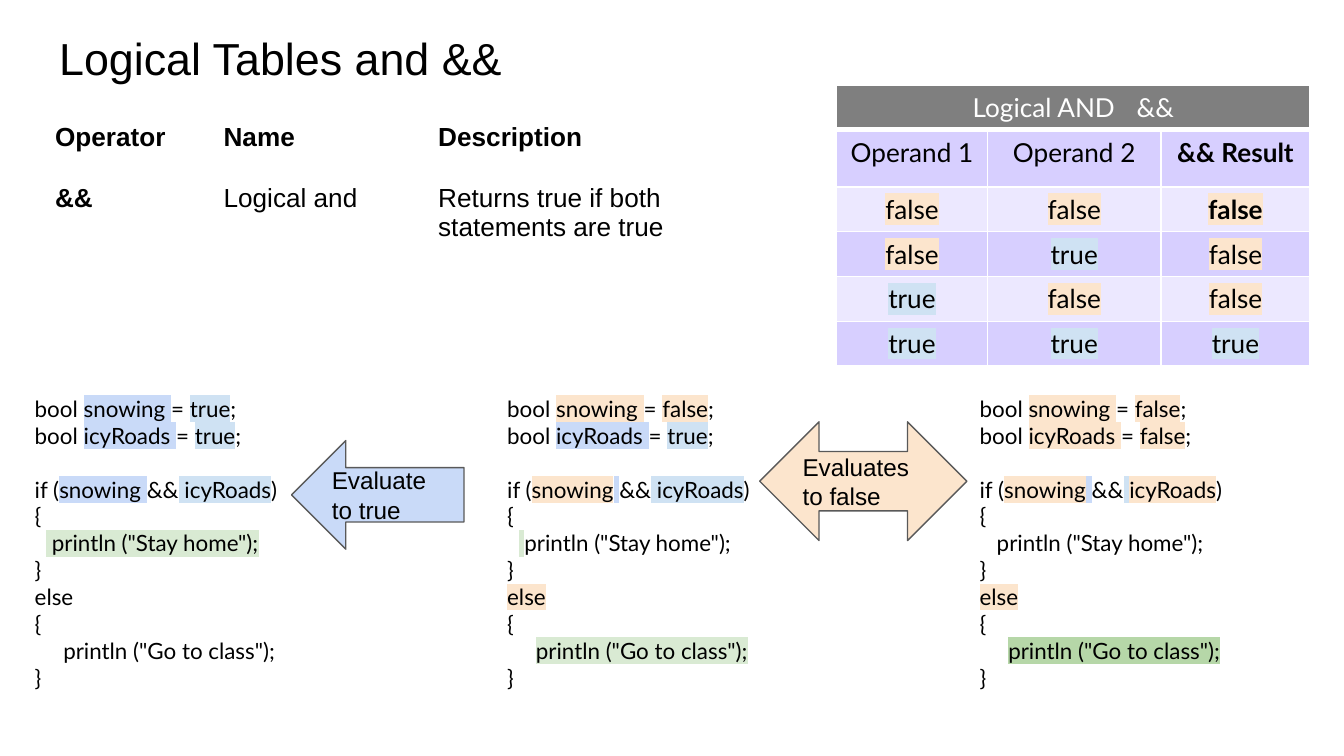
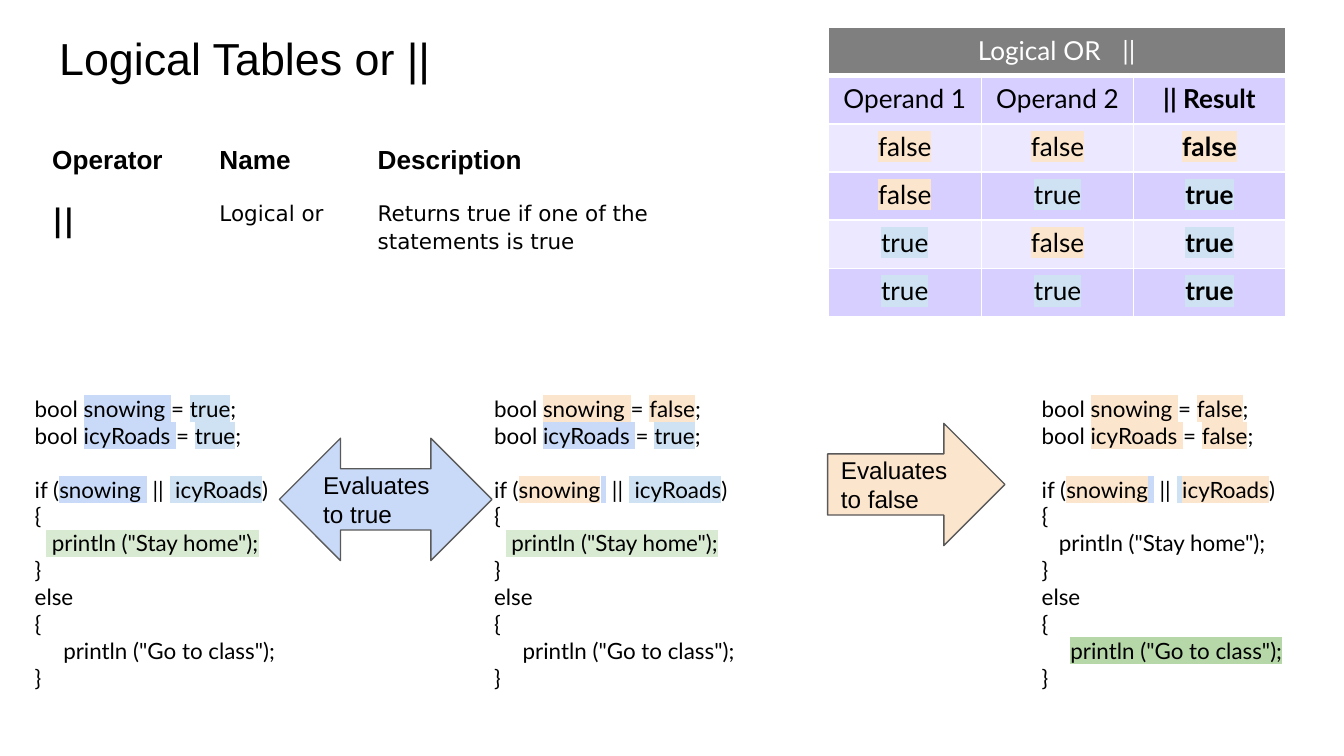
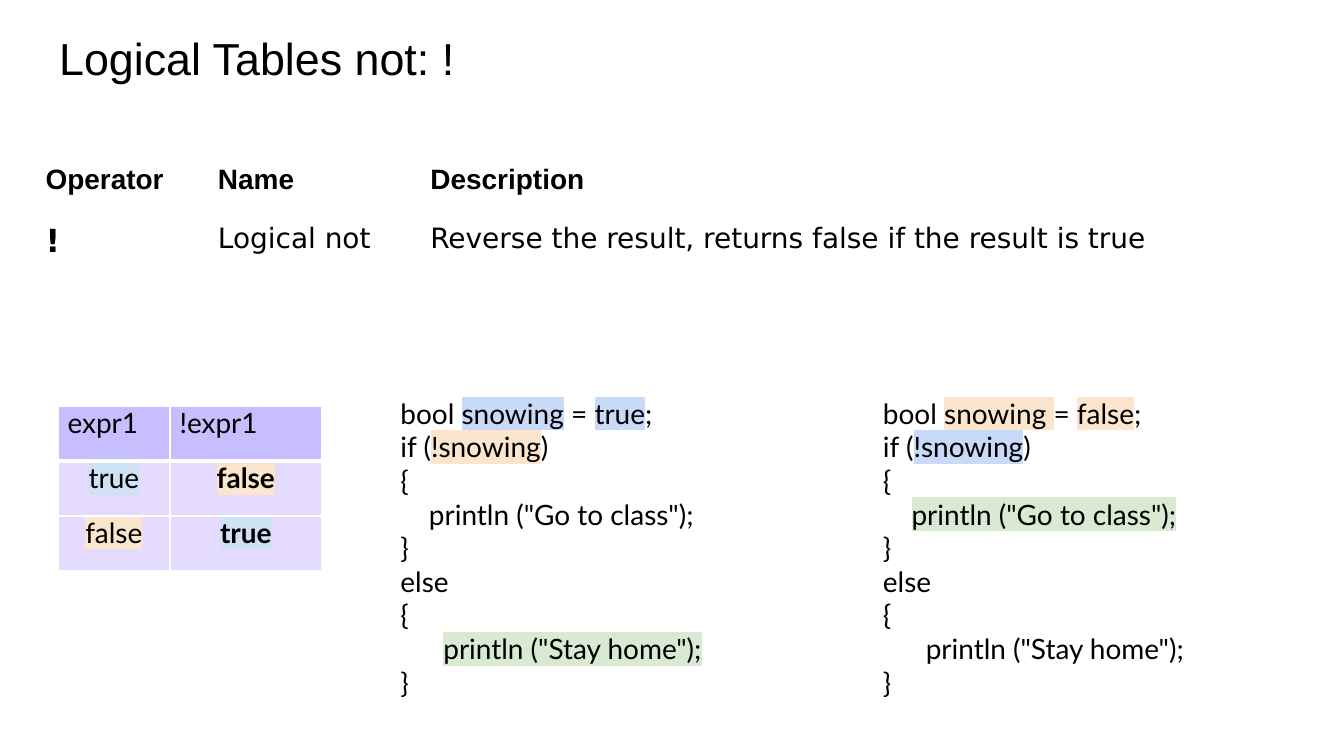
from lxml.etree import SubElement
from pptx import Presentation
from pptx.dml.color import RGBColor
from pptx.enum.shapes import MSO_SHAPE as Shape
from pptx.enum.text import MSO_ANCHOR as Anchor, MSO_AUTO_SIZE as AutoSize, PP_ALIGN as Align
from pptx.oxml.ns import qn
from pptx.util import Pt

BLACK = RGBColor(0x00, 0x00, 0x00)
WHITE = RGBColor(0xFF, 0xFF, 0xFF)
GRAY = RGBColor(0x7F, 0x7F, 0x7F)
OUTLINE = RGBColor(0x59, 0x59, 0x59)
LILAC = RGBColor(0xD7, 0xCF, 0xFF)
PALE_LILAC = RGBColor(0xEC, 0xE8, 0xFF)
VIOLET = RGBColor(0xC7, 0xBE, 0xFF)
PALE_VIOLET = RGBColor(0xE5, 0xDB, 0xFF)
ORANGE = RGBColor(0xFC, 0xE5, 0xCD)
SKY = RGBColor(0xCF, 0xE2, 0xF3)
BLUE = RGBColor(0xC9, 0xDA, 0xF8)
GREEN = RGBColor(0xD9, 0xEA, 0xD3)
DEEP_GREEN = RGBColor(0xB6, 0xD7, 0xA8)

TITLE_FONT = "Arial"
CODE_FONT = "Lato"
BODY_FONT = "DejaVu Sans"
CODE_LINE = 14.4
VALUE_COLORS = {"true": SKY, "false": ORANGE}


def add_span(para, text, font=CODE_FONT, size=14, color=BLACK, bold=False,
             highlight=None, spacing=None):
    span = para.add_run()
    span.text = text
    span.font.size = Pt(size)
    span.font.bold = bold
    span.font.color.rgb = color
    properties = span._r.get_or_add_rPr()
    if spacing:
        properties.set("spc", str(spacing * 100))
    if highlight is not None:
        mark = SubElement(properties, qn("a:highlight"))
        SubElement(mark, qn("a:srgbClr")).set("val", str(highlight))
    span.font.name = font
    return span


def set_margins(target, left, top, right, bottom):
    target.margin_left, target.margin_top = Pt(left), Pt(top)
    target.margin_right, target.margin_bottom = Pt(right), Pt(bottom)


def set_borders(cell, top=1, bottom=1):
    properties = cell._tc.get_or_add_tcPr()
    for index, (side, width) in enumerate(
            (("lnL", 1), ("lnR", 1), ("lnT", top), ("lnB", bottom))):
        line = SubElement(properties, qn(f"a:{side}"))
        line.set("w", str(int(Pt(width))))
        fill = SubElement(line, qn("a:solidFill"))
        SubElement(fill, qn("a:srgbClr")).set("val", str(WHITE))
        properties.insert(index, line)


def declare(name, value, name_color, value_color):
    equals = "= " if name.endswith(" ") else " = "
    return [("bool ", None), (name, name_color), (equals, None),
            (value, value_color), (";", None)]


def branches(first, second, otherwise=None):
    plain = [[(mark, None)] for mark in "{}{}"]
    return [plain[0], first, plain[1], [("else", otherwise)], plain[2], second, plain[3]]


def pair_program(operator, snowing, icy_roads, stay=None, stay_gap=None,
                 otherwise=None, go=None):
    lines = [declare(f"{name} ", value, BLUE if value == "true" else ORANGE,
                     VALUE_COLORS[value])
             for name, value in (("snowing", snowing), ("icyRoads", icy_roads))]
    left = [("snowing ", BLUE)] if snowing == "true" else [("snowing", ORANGE), (" ", BLUE)]
    right = [(" icyRoads", SKY)] if icy_roads == "true" else [(" ", SKY), ("icyRoads", ORANGE)]
    lines.append([("if (", None), *left, (operator, None), *right, (")", None)])
    return lines + branches(
        [("  ", None), (" ", stay_gap), ('println ("Stay home");', stay)],
        [("     ", None), ('println ("Go to class");', go)], otherwise)


def not_program(name, value, name_color, value_color, test_color, go=None, stay=None):
    return [declare(name, value, name_color, value_color),
            [("if (", None), ("!snowing", test_color), (")", None)],
            *branches([("    ", None), ('println ("Go to class");', go)],
                      [("      ", None), ('println ("Stay home");', stay)])]


class Board:
    def __init__(self):
        self.deck = Presentation()
        self.deck.slide_width, self.deck.slide_height = Pt(720), Pt(405)
        self.page = None

    def start(self, title, width=392.4):
        self.page = self.deck.slides.add_slide(self.deck.slide_layouts[5])
        box = self.page.shapes.title
        box.left, box.top, box.width, box.height = Pt(24.5), Pt(9.4), Pt(width), Pt(45.4)
        frame = box.text_frame
        set_margins(frame, 7.2, 7.2, 7.2, 7.2)
        frame.word_wrap = True
        frame.auto_size = AutoSize.NONE
        frame.vertical_anchor = Anchor.TOP
        frame.paragraphs[0].alignment = Align.LEFT
        add_span(frame.paragraphs[0], title, font=TITLE_FONT, size=24)

    def grid(self, left, top, widths, heights):
        table = self.page.shapes.add_table(
            len(heights), len(widths), Pt(left), Pt(top),
            Pt(sum(widths)), Pt(sum(heights))).table
        for column, width in zip(table.columns, widths):
            column.width = Pt(width)
        for row, height in zip(table.rows, heights):
            row.height = Pt(height)
        return table

    def fill_cell(self, cell, text, fill, margins, align=Align.LEFT, line_spacing=None, **style):
        cell.fill.solid()
        cell.fill.fore_color.rgb = fill
        set_margins(cell, *margins)
        para = cell.text_frame.paragraphs[0]
        para.alignment = align
        if line_spacing:
            para.line_spacing = line_spacing
        if text:
            add_span(para, text, **style)
        return para

    def operator_table(self, left, top, widths, heights, texts, size=14,
                       font=BODY_FONT, body_size=14, sign_size=14, line_spacing=None):
        table = self.grid(left, top, widths, heights)
        for column, (heading, text) in enumerate(
                zip(("Operator", "Name", "Description"), texts)):
            first = column == 0
            margins = (12.2 if first else 6, 6, 6, 6)
            self.fill_cell(table.cell(0, column), heading, WHITE, margins,
                           font=TITLE_FONT, size=size, bold=True)
            self.fill_cell(table.cell(1, column), text, WHITE, margins,
                           line_spacing=line_spacing, font=font, bold=first,
                           size=sign_size if first else body_size)

    def values(self, table, first_row, rows, fills, margins, bold_rows, size=14):
        for index, row in enumerate(rows):
            for column, value in enumerate(row):
                cell = table.cell(first_row + index, column)
                self.fill_cell(cell, value, fills[index % len(fills)], margins,
                               align=Align.CENTER, size=size,
                               bold=column == len(row) - 1 and index in bold_rows,
                               highlight=VALUE_COLORS[value])
                set_borders(cell, top=3 if first_row + index == 1 else 1)

    def truth_table(self, left, top, widths, heights, name, sign, results, bold_rows):
        table = self.grid(left, top, widths, heights)
        margins = (7.2, 3.6, 7.2, 3.6)
        table.cell(0, 0).merge(table.cell(0, 2))
        para = self.fill_cell(table.cell(0, 0), name, GRAY, margins,
                              align=Align.CENTER, color=WHITE)
        add_span(para, " ", color=WHITE, spacing=8)
        add_span(para, sign, color=WHITE)
        for column, heading in enumerate(("Operand 1", "Operand 2", f"{sign} Result")):
            set_borders(table.cell(0, column), bottom=3)
            cell = table.cell(1, column)
            self.fill_cell(cell, heading, LILAC, margins, align=Align.CENTER, bold=column == 2)
            set_borders(cell, top=3)
        operands = [(a, b) for a in ("false", "true") for b in ("false", "true")]
        rows = [(*pair, result) for pair, result in zip(operands, results)]
        self.values(table, 2, rows, (PALE_LILAC, LILAC), margins, bold_rows)

    def negation_table(self, left, top, widths, heights):
        table = self.grid(left, top, widths, heights)
        margins = (5.2, 0, 5.2, 0)
        for column, heading in enumerate(("expr1", "!expr1")):
            cell = table.cell(0, column)
            self.fill_cell(cell, heading, VIOLET, margins, size=15)
            set_borders(cell, bottom=3)
        self.values(table, 1, (("true", "false"), ("false", "true")),
                    (PALE_VIOLET,), margins, (0, 1), size=15)

    def code(self, left, top, width, height, lines, size=12, gap_line=None):
        box = self.page.shapes.add_textbox(Pt(left), Pt(top), Pt(width), Pt(height))
        frame = box.text_frame
        frame.word_wrap = True
        frame.auto_size = AutoSize.SHAPE_TO_FIT_TEXT
        set_margins(frame, 7.2, 3.6, 7.2, 3.6)
        for index, line in enumerate(lines):
            para = frame.paragraphs[0] if index == 0 else frame.add_paragraph()
            if index == gap_line:
                para.space_before = Pt(CODE_LINE)
            for text, highlight in line:
                add_span(para, text, size=size, highlight=highlight)

    def pair_code(self, left, width, lines):
        self.code(left, 208.1, width, 167, lines, gap_line=2)

    def arrow(self, kind, left, top, width, height, text, fill):
        shape = self.page.shapes.add_shape(kind, Pt(left), Pt(top), Pt(width), Pt(height))
        shape.shadow.inherit = False
        shape.fill.solid()
        shape.fill.fore_color.rgb = fill
        shape.line.color.rgb = OUTLINE
        shape.line.width = Pt(0.75)
        frame = shape.text_frame
        frame.word_wrap = True
        frame.vertical_anchor = Anchor.MIDDLE
        set_margins(frame, 7.2, 7.2, 7.2, 7.2)
        frame.paragraphs[0].alignment = Align.LEFT
        add_span(frame.paragraphs[0], text, font=TITLE_FONT, size=13)


def build_and(board):
    board.start("Logical Tables and &&")
    board.truth_table(448.2, 45.4, (80.8, 93, 79.8), (24, 30.6, 24, 24, 24, 24),
                      "Logical AND", "&&", ("false", "false", "false", "true"), (0,))
    board.operator_table(17.3, 59.8, (96.5, 115, 195), (32.4, 41.8),
                         ("&&", "Logical and", "Returns true if both statements are true"),
                         font=TITLE_FONT)
    programs = (
        pair_program("&&", "true", "true", stay=GREEN, stay_gap=GREEN),
        pair_program("&&", "false", "true", stay_gap=GREEN, otherwise=ORANGE, go=GREEN),
        pair_program("&&", "false", "false", otherwise=ORANGE, go=DEEP_GREEN))
    for index, lines in enumerate(programs):
        board.pair_code(11.5 + 253.1 * index, 174.2, lines)
    board.arrow(Shape.LEFT_RIGHT_ARROW, 407, 226, 111, 63.6, "Evaluates to false", ORANGE)
    board.arrow(Shape.LEFT_ARROW, 156.2, 236, 92.4, 58.2, "Evaluate to true", BLUE)


def build_or(board):
    board.start("Logical Tables or ||")
    board.truth_table(443.5, 14.8, (82.4, 81.4, 81.4), (25.8,) * 6,
                      "Logical OR", "||", ("false", "true", "true", "true"), range(4))
    board.operator_table(15.8, 72, (95.8, 84.8, 211.7), (26, 26),
                         ("||", "Logical or", "Returns true if one of the statements is true"),
                         body_size=11.5, sign_size=16.5, line_spacing=1.15)
    programs = (
        (11.5, 174.2, pair_program(" || ", "true", "true", stay=GREEN, stay_gap=GREEN)),
        (257.6, 159.1, pair_program(" || ", "false", "true", stay=GREEN, stay_gap=GREEN)),
        (551, 155.5, pair_program(" || ", "false", "false", go=DEEP_GREEN)))
    for left, width, lines in programs:
        board.pair_code(left, width, lines)
    board.arrow(Shape.LEFT_RIGHT_ARROW, 149.7, 234.8, 113.9, 65.5, "Evaluates to true", BLUE)
    board.arrow(Shape.RIGHT_ARROW, 443.4, 226.8, 95, 65.5, "Evaluates to false", ORANGE)


def build_not(board):
    board.start("Logical Tables not: !", width=321)
    board.negation_table(31, 217.6, (60, 81.4), (29.4,) * 3)
    board.operator_table(12.2, 82, (98.6, 113.8, 479.5), (26, 26),
                         ("!", "Logical not",
                          "Reverse the result, returns false if the result is true"),
                         size=15, body_size=15, sign_size=17, line_spacing=1.15)
    programs = (
        not_program("snowing", "true", BLUE, BLUE, ORANGE, stay=GREEN),
        not_program("snowing ", "false", ORANGE, ORANGE, BLUE, go=GREEN))
    for index, lines in enumerate(programs):
        board.code(207.4 + 258.5 * index, 208.8, 210.2, 170.6, lines, size=15)


def main():
    board = Board()
    for build in (build_and, build_or, build_not):
        build(board)
    board.deck.save("out.pptx")


if __name__ == "__main__":
    main()
